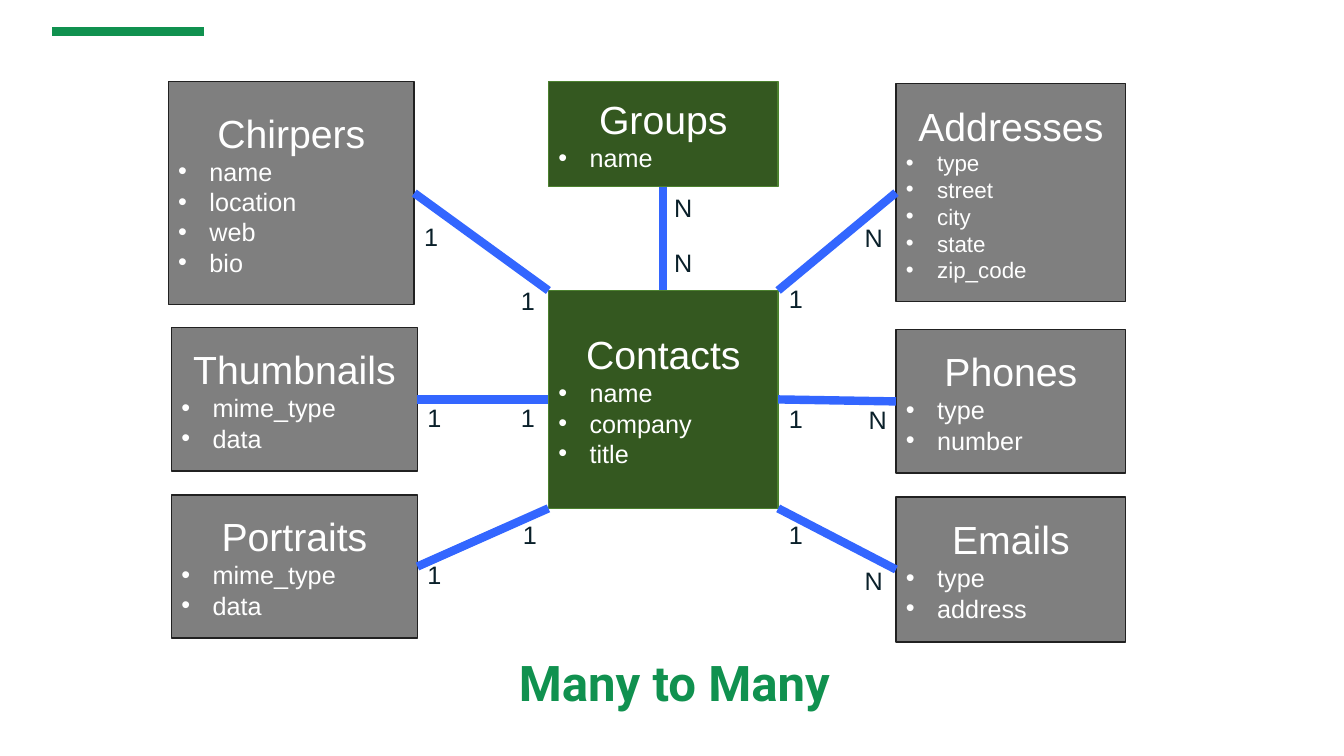
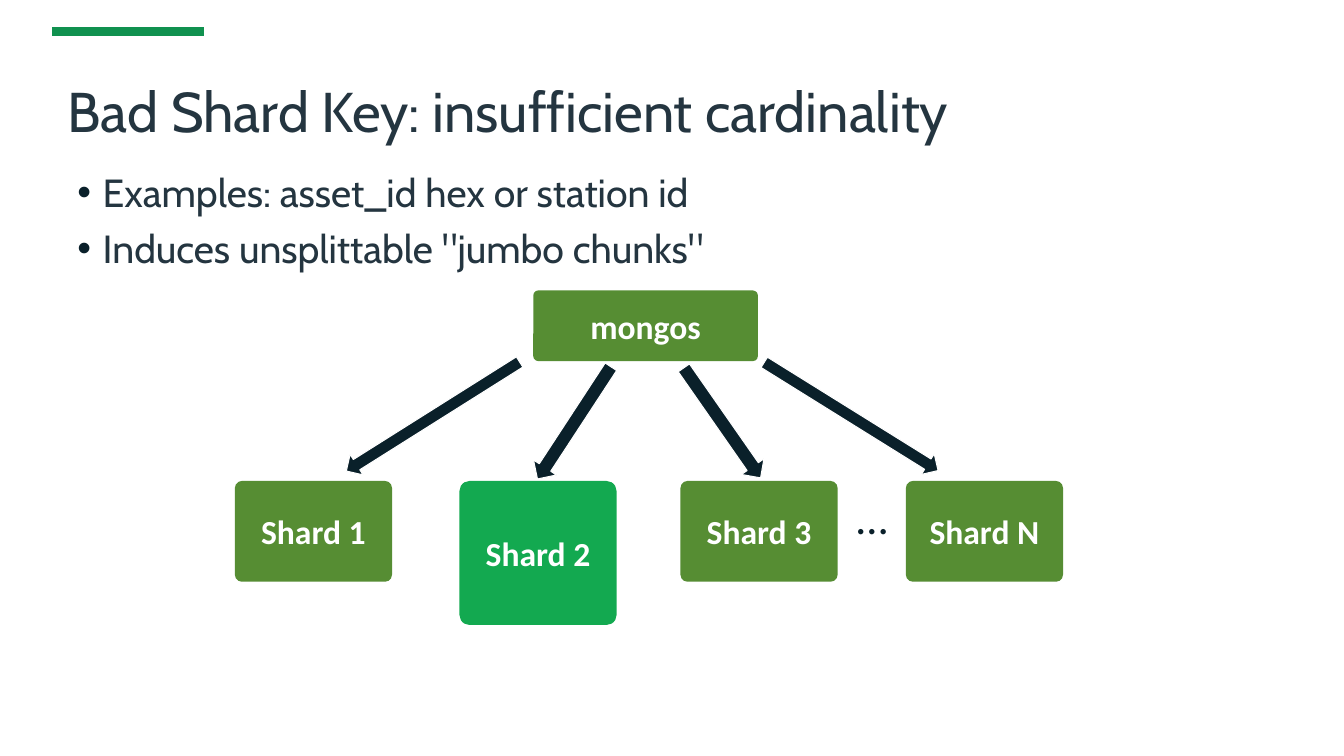
"""Build two database design slides: a contact data model and a shard key example."""
from typing import NamedTuple, Optional

from lxml.etree import SubElement
from pptx import Presentation
from pptx.dml.color import RGBColor
from pptx.enum.shapes import MSO_CONNECTOR as Connector, MSO_SHAPE as Preset
from pptx.enum.text import MSO_ANCHOR as Anchor, PP_ALIGN as Align
from pptx.oxml.ns import qn
from pptx.util import Cm, Pt

COLORS = {
    "accent": "10914F", "ink": "0A202A", "heading": "243540", "white": "FFFFFF",
    "core": "345820", "core_edge": "4C812F", "detail": "7F7F7F", "detail_edge": "212121",
    "link": "3366FF", "shard": "568D33", "jumbo": "13A950",
}
ENTITY_TITLE = {"size": Pt(28), "name": "Arial", "color": "white"}
ENTITY_FIELD = {**ENTITY_TITLE, "size": Pt(18)}
LABEL = {"size": Pt(18), "name": "Arial", "color": "ink"}
CAPTION = {"size": Pt(35.1), "name": "Roboto", "bold": True, "color": "accent"}
TITLE = {"size": Pt(40), "name": "Cabin", "color": "heading"}
BODY = {**TITLE, "size": Pt(28)}
NODE = {"size": Pt(24), "name": "Calibri", "bold": True, "color": "white"}
ELLIPSIS = {"size": Pt(32), "name": "Calibri", "color": "ink"}

TOP, LEFT, BOTTOM, RIGHT = range(4)


class Box(NamedTuple):
    left: float
    top: float
    width: float
    height: float

    def lengths(self) -> list:
        return [Cm(value) for value in self]


class Entity(NamedTuple):
    name: str
    fields: list
    box: Box
    kind: str = "detail"
    field_size: float = 18


class Link(NamedTuple):
    entity: str
    entity_side: int
    contact_side: Optional[int] = None
    corner: tuple = (0, 0)


class Label(NamedTuple):
    text: str
    left: float
    top: float


class Node(NamedTuple):
    text: str
    box: Box
    color: str = "shard"


class Arrow(NamedTuple):
    box: Box
    angle: float


ENTITIES = [
    Entity("Contacts", ["name", "company", "title"], Box(13.82, 7.32, 5.79, 5.49), "core"),
    Entity("Groups", ["name"], Box(13.82, 2.06, 5.79, 2.64), "core"),
    Entity("Chirpers", ["name", "location", "web", "bio"], Box(4.24, 2.06, 6.2, 5.61)),
    Entity("Thumbnails", ["mime_type", "data"], Box(4.32, 8.26, 6.2, 3.61)),
    Entity("Portraits", ["mime_type", "data"], Box(4.32, 12.47, 6.2, 3.61)),
    Entity("Addresses", ["type", "street", "city", "state", "zip_code"],
           Box(22.58, 2.11, 5.79, 5.49), field_size=16),
    Entity("Phones", ["type", "number"], Box(22.58, 8.31, 5.79, 3.61)),
    Entity("Emails", ["type", "address"], Box(22.58, 12.52, 5.79, 3.66)),
]
LINKS = [
    Link("Groups", BOTTOM, contact_side=TOP),
    Link("Thumbnails", RIGHT, contact_side=LEFT),
    Link("Phones", LEFT, contact_side=RIGHT),
    Link("Chirpers", RIGHT, corner=(0, 0)),
    Link("Addresses", LEFT, corner=(1, 0)),
    Link("Portraits", RIGHT, corner=(0, 1)),
    Link("Emails", LEFT, corner=(1, 1)),
]
LABELS = [
    Label("N", 16.74, 4.72), Label("N", 16.74, 6.1),
    Label("1", 10.44, 5.44), Label("1", 12.88, 7.06),
    Label("1", 10.52, 10.01), Label("1", 12.88, 10.01),
    Label("1", 10.52, 13.97), Label("1", 12.93, 12.95),
    Label("N", 21.54, 5.49), Label("1", 19.63, 7.01),
    Label("N", 21.64, 10.06), Label("1", 19.63, 10.03),
    Label("N", 21.54, 14.12), Label("1", 19.63, 12.95),
]
NODES = [
    Node("mongos", Box(13.44, 7.32, 5.66, 1.78)),
    Node("Shard 1", Box(5.92, 12.12, 3.96, 2.54)),
    Node("Shard 2", Box(11.58, 12.12, 3.96, 3.63), "jumbo"),
    Node("Shard 3", Box(17.15, 12.12, 3.96, 2.54)),
    Node("Shard N", Box(22.83, 12.12, 3.96, 2.54)),
]
ARROWS = [
    Arrow(Box(8.33, 10.19, 5.16, 0.61), 147.8),
    Arrow(Box(12.78, 10.31, 3.38, 0.69), 123.2),
    Arrow(Box(16.51, 10.31, 3.38, 0.69), 55.1),
    Arrow(Box(18.87, 10.19, 5.16, 0.61), 31.9),
]


def rgb(name: str) -> RGBColor:
    return RGBColor.from_string(COLORS[name])


def add_bullet(paragraph, color: str, indent: float) -> None:
    properties = paragraph._p.get_or_add_pPr()
    properties.set("marL", str(Cm(indent)))
    properties.set("indent", str(-Cm(indent)))
    bullet_color = SubElement(properties, qn("a:buClr"))
    SubElement(bullet_color, qn("a:srgbClr"), val=COLORS[color])
    SubElement(properties, qn("a:buFont"), typeface="Arial")
    SubElement(properties, qn("a:buChar"), char="•")


def write(paragraph, text: str, style: dict, **layout) -> None:
    for name, value in layout.items():
        setattr(paragraph, name, value)
    run = paragraph.add_run()
    run.text = text
    for name, value in style.items():
        if name == "color":
            run.font.color.rgb = rgb(value)
        else:
            setattr(run.font, name, value)


def add_text(slide, box: Box, text: str, style: dict, **layout):
    frame = slide.shapes.add_textbox(*box.lengths()).text_frame
    frame.word_wrap = True
    write(frame.paragraphs[0], text, style, **layout)
    return frame


def add_block(slide, preset, box: Box, fill: str, edge: Optional[str] = None, weight: float = 1):
    shape = slide.shapes.add_shape(preset, *box.lengths())
    shape.shadow.inherit = False
    shape.fill.solid()
    shape.fill.fore_color.rgb = rgb(fill)
    if edge:
        shape.line.color.rgb = rgb(edge)
        shape.line.width = Pt(weight)
    else:
        shape.line.fill.background()
    shape.text_frame.word_wrap = True
    shape.text_frame.vertical_anchor = Anchor.MIDDLE
    return shape


def add_line(slide, start: tuple, end: tuple, color: str):
    points = [Cm(value) for value in (*start, *end)]
    line = slide.shapes.add_connector(Connector.STRAIGHT, *points)
    line.line.color.rgb = rgb(color)
    line.line.width = Pt(6)
    SubElement(line._element.spPr, qn("a:effectLst"))
    return line


def add_entity(slide, entity: Entity):
    shape = add_block(slide, Preset.RECTANGLE, entity.box, entity.kind, f"{entity.kind}_edge")
    frame = shape.text_frame
    write(frame.paragraphs[0], entity.name, ENTITY_TITLE, alignment=Align.CENTER)
    for field in entity.fields:
        paragraph = frame.add_paragraph()
        add_bullet(paragraph, "white", 0.79)
        style = {**ENTITY_FIELD, "size": Pt(entity.field_size)}
        write(paragraph, field, style, alignment=Align.LEFT)
    return shape


def add_slide(presentation):
    slide = presentation.slides.add_slide(presentation.slide_layouts[6])
    add_line(slide, (1.32, 0.79), (5.13, 0.79), "accent")
    return slide


def build_data_model(presentation) -> None:
    slide = add_slide(presentation)
    caption = add_text(slide, Box(6.02, 16.1, 21.95, 2.36), "Many to Many", CAPTION,
                       alignment=Align.CENTER, line_spacing=0.9)
    margins = dict.fromkeys(("margin_left", "margin_right", "margin_top", "margin_bottom"), 0)
    for name, value in {**margins, "vertical_anchor": Anchor.MIDDLE}.items():
        setattr(caption, name, value)
    shapes = {entity.name: add_entity(slide, entity) for entity in ENTITIES}
    hub = ENTITIES[0].box
    for link in LINKS:
        across, down = link.corner
        corner = (hub.left + across * hub.width, hub.top + down * hub.height)
        line = add_line(slide, corner, corner, "link")
        if link.contact_side is not None:
            line.begin_connect(shapes["Contacts"], link.contact_side)
        line.end_connect(shapes[link.entity], link.entity_side)
    for label in LABELS:
        add_text(slide, Box(label.left, label.top, 1.04, 1.17), label.text, LABEL)


def build_shard_key(presentation) -> None:
    slide = add_slide(presentation)
    title = add_text(slide, Box(1.7, 1.65, 30.48, 3.18),
                     "Bad Shard Key: insufficient cardinality", TITLE, line_spacing=0.9)
    margins = {"margin_left": 0, "margin_right": 0, "margin_top": Cm(0.46), "margin_bottom": Cm(0.46)}
    for name, value in margins.items():
        setattr(title, name, value)
    body = slide.shapes.add_textbox(*Box(1.7, 4.24, 30.48, 11.68).lengths()).text_frame
    body.word_wrap = True
    points = ["Examples: asset_id hex or station id", 'Induces unsplittable "jumbo chunks"']
    for index, point in enumerate(points):
        paragraph = body.add_paragraph() if index else body.paragraphs[0]
        add_bullet(paragraph, "ink", 0.64)
        write(paragraph, point, BODY, line_spacing=0.9, space_before=Pt(10 if index else 0))
    for node in NODES:
        shape = add_block(slide, Preset.ROUNDED_RECTANGLE, node.box, node.color)
        shape.adjustments[0] = 0.07
        write(shape.text_frame.paragraphs[0], node.text, NODE, alignment=Align.CENTER)
    for arrow in ARROWS:
        shape = add_block(slide, Preset.RIGHT_ARROW, arrow.box, "ink", "white", 0.75)
        shape.rotation = arrow.angle
    add_text(slide, Box(21.34, 12.22, 1.35, 1.63), "…", ELLIPSIS)


def main() -> None:
    presentation = Presentation()
    presentation.slide_width, presentation.slide_height = Cm(33.87), Cm(19.05)
    build_data_model(presentation)
    build_shard_key(presentation)
    presentation.save("out.pptx")


if __name__ == "__main__":
    main()
